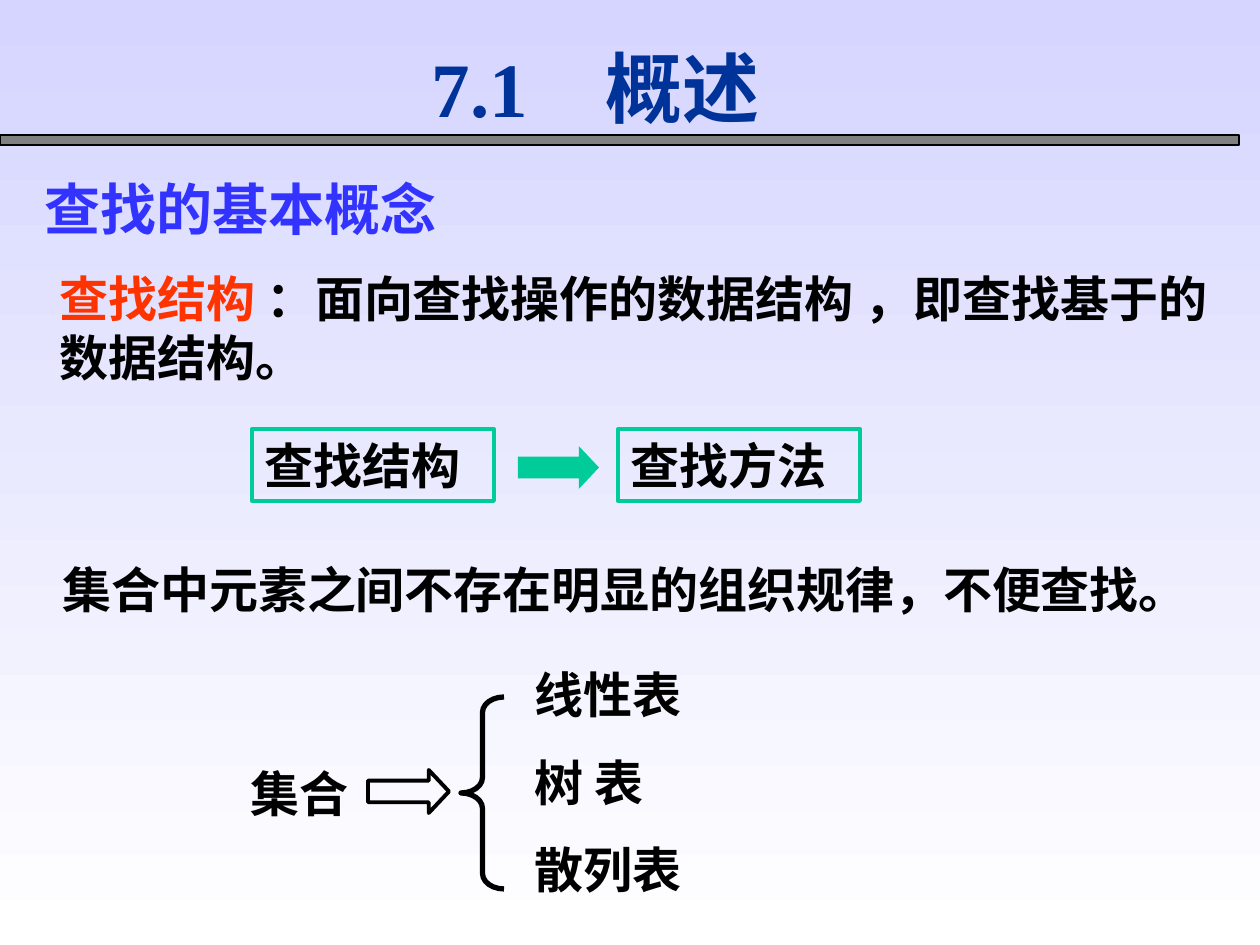
import lxml.etree
import pptx
import pptx.dml.color
import pptx.enum.shapes
import pptx.enum.text
import pptx.oxml.ns
import pptx.util

SHAPE = pptx.enum.shapes.MSO_SHAPE
ANCHOR = pptx.enum.text.MSO_ANCHOR
ALIGN = pptx.enum.text.PP_ALIGN
SANS = "Noto Sans CJK SC"
SERIF = "Times New Roman"
BLACK = "000000"
GREEN = "00CC99"


def px(length):
    """Turn pixels at 126 to the inch into EMU."""
    return pptx.util.Emu(round(length * 914400 / 126))


def color(text):
    """Turn a hex string into a colour."""
    return pptx.dml.color.RGBColor.from_string(text)


def add_child(parent, tag, **attributes):
    """Append an XML element to a parent and return it."""
    return lxml.etree.SubElement(parent, pptx.oxml.ns.qn(tag), attributes)


def place(item, box):
    """Move an item to a box of left, top, width and height."""
    item.left, item.top, item.width, item.height = map(px, box)


def add_run(para, text, size=28, font=SANS, tint=BLACK):
    """Add one bold run to a paragraph and return it."""
    span = para.add_run()
    span.text = text
    span.font.size = pptx.util.Pt(size)
    span.font.bold = True
    span.font.color.rgb = color(tint)
    span.font.name = font
    latin = span.font._element.find(pptx.oxml.ns.qn("a:latin"))
    east = lxml.etree.Element(pptx.oxml.ns.qn("a:ea"), typeface=SANS)
    latin.addnext(east)
    return span


def add_text(page, box):
    """Add a wrapping text box and return its first paragraph."""
    frame = page.shapes.add_textbox(*map(px, box)).text_frame
    frame.word_wrap = True
    return frame.paragraphs[0]


def add_figure(page, kind, box, fill=None, line=None, width=2.25):
    """Add a flat preset shape with an optional fill and line."""
    figure = page.shapes.add_shape(kind, *map(px, box))
    figure.shadow.inherit = False
    if fill:
        figure.fill.solid()
        figure.fill.fore_color.rgb = color(fill)
    else:
        figure.fill.background()
    if line:
        figure.line.color.rgb = color(line)
        figure.line.width = pptx.util.Pt(width)
    else:
        figure.line.fill.background()
    return figure


def add_arrow(page, box, fill=None, line=None):
    """Add a block arrow pointing right."""
    arrow = add_figure(page, SHAPE.RIGHT_ARROW, box, fill, line)
    arrow.adjustments[1] = 0.47


def paint_background(page):
    """Fill the page with a lilac to white gradient running down."""
    fill = page.background.fill
    fill.gradient()
    fill.gradient_angle = 270
    for stop, tint in zip(fill.gradient_stops, ("D5D5FF", "FFFFFF")):
        stop.color.rgb = color(tint)


def fill_title(page, box):
    """Place the title and the bar under it."""
    left, top, width, height = box
    add_figure(page, SHAPE.RECTANGLE, (0, top + 96, 1239, 10), "808080", BLACK, 0.75)
    title = page.shapes.title
    place(title, box)
    frame = title.text_frame
    frame.auto_size = pptx.enum.text.MSO_AUTO_SIZE.NONE
    frame.vertical_anchor = ANCHOR.MIDDLE
    para = frame.paragraphs[0]
    para.alignment = ALIGN.CENTER
    add_run(para, "7.1　概述", 44, SERIF, "003399")


def add_heading(page, box):
    """Add the section heading with shadowed letters."""
    span = add_run(add_text(page, box), "查找的基本概念", 32, SERIF, "3333FF")
    effects = lxml.etree.Element(pptx.oxml.ns.qn("a:effectLst"))
    shadow = add_child(effects, "a:outerShdw", dist="25400", dir="2700000")
    add_child(shadow, "a:srgbClr", val="808080")
    span.font._element.find(pptx.oxml.ns.qn("a:solidFill")).addnext(effects)


def add_definition(page, box):
    """Add the definition of a search structure."""
    para = add_text(page, box)
    add_run(para, "查找结构", tint="FF3300")
    add_run(para, " ：", font=SERIF)
    add_run(para, "面向查找操作的数据结构")
    add_run(para, " ，即查找基于的数据结构。", font=SERIF)


def add_flow(page, box):
    """Add two framed terms joined by an arrow."""
    left, top, width, height = box
    frame_width = 242
    for label, x in (("查找结构", left), ("查找方法", left + width - frame_width)):
        frame = add_figure(page, SHAPE.RECTANGLE, (x, top, frame_width, height), line=GREEN)
        frame.text_frame.vertical_anchor = ANCHOR.TOP
        para = frame.text_frame.paragraphs[0]
        para.alignment = ALIGN.LEFT
        add_run(para, label)
    add_arrow(page, (left + 266, top + 17, 81, 43), fill=GREEN)


def fill_list(body, box, labels):
    """Fill the body placeholder with evenly spaced plain lines."""
    place(body, box)
    frame = body.text_frame
    frame.auto_size = pptx.enum.text.MSO_AUTO_SIZE.NONE
    for index, label in enumerate(labels):
        para = frame.add_paragraph() if index else frame.paragraphs[0]
        properties = para._p.get_or_add_pPr()
        properties.set("marL", "0")
        properties.set("indent", "0")
        add_child(properties, "a:buNone")
        para.line_spacing = pptx.util.Pt(34)
        para.space_before = pptx.util.Pt(16 if index else 0)
        add_run(para, label)


def add_set_tree(page, box):
    """Add the set, its arrow, the brace and the three kinds of table."""
    left, top, width, height = box
    add_run(add_text(page, (left, top + 99, 130, 72)), "集合")
    add_arrow(page, (left + 130, top + 112, 81, 43), line=BLACK)
    brace = add_figure(page, SHAPE.LEFT_BRACE, (left + 223, top + 39, 43, 192), line=BLACK, width=3)
    brace.adjustments[0] = 0.36
    fill_list(page.placeholders[1], (left + 284, top, width - 284, height), ("线性表", "树 表", "散列表"))


def main():
    """Build the slide and save it."""
    deck = pptx.Presentation()
    deck.slide_width, deck.slide_height = px(1260), px(945)
    page = deck.slides.add_slide(deck.slide_layouts[1])
    paint_background(page)
    fill_title(page, (233, 39, 725, 95))
    add_heading(page, (32, 168, 892, 81))
    add_definition(page, (47, 262, 1213, 131))
    add_flow(page, (252, 429, 608, 72))
    add_run(add_text(page, (50, 553, 1178, 72)), "集合中元素之间不存在明显的组织规律，不便查找。")
    add_set_tree(page, (238, 658, 464, 248))
    deck.save("out.pptx")


if __name__ == "__main__":
    main()
